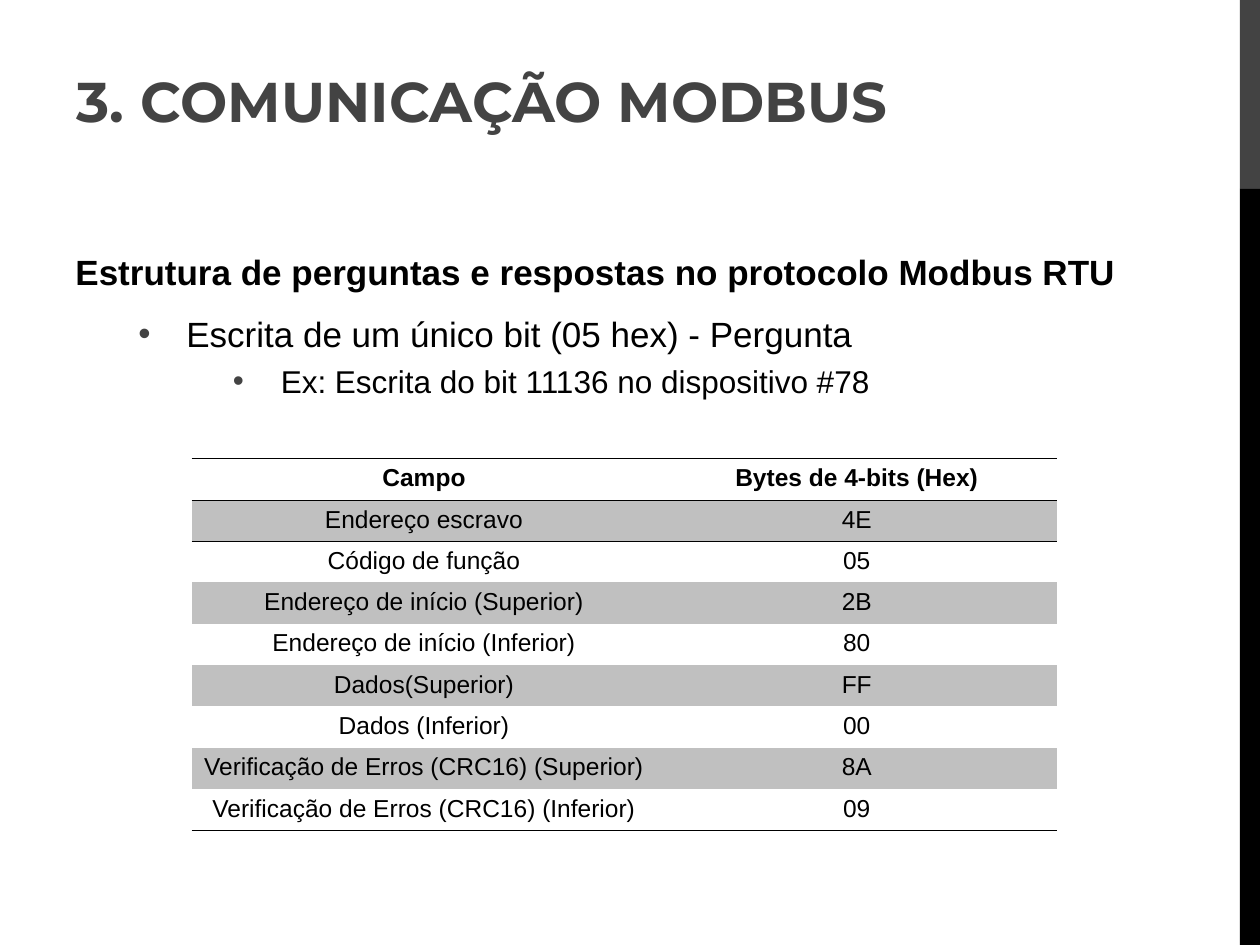
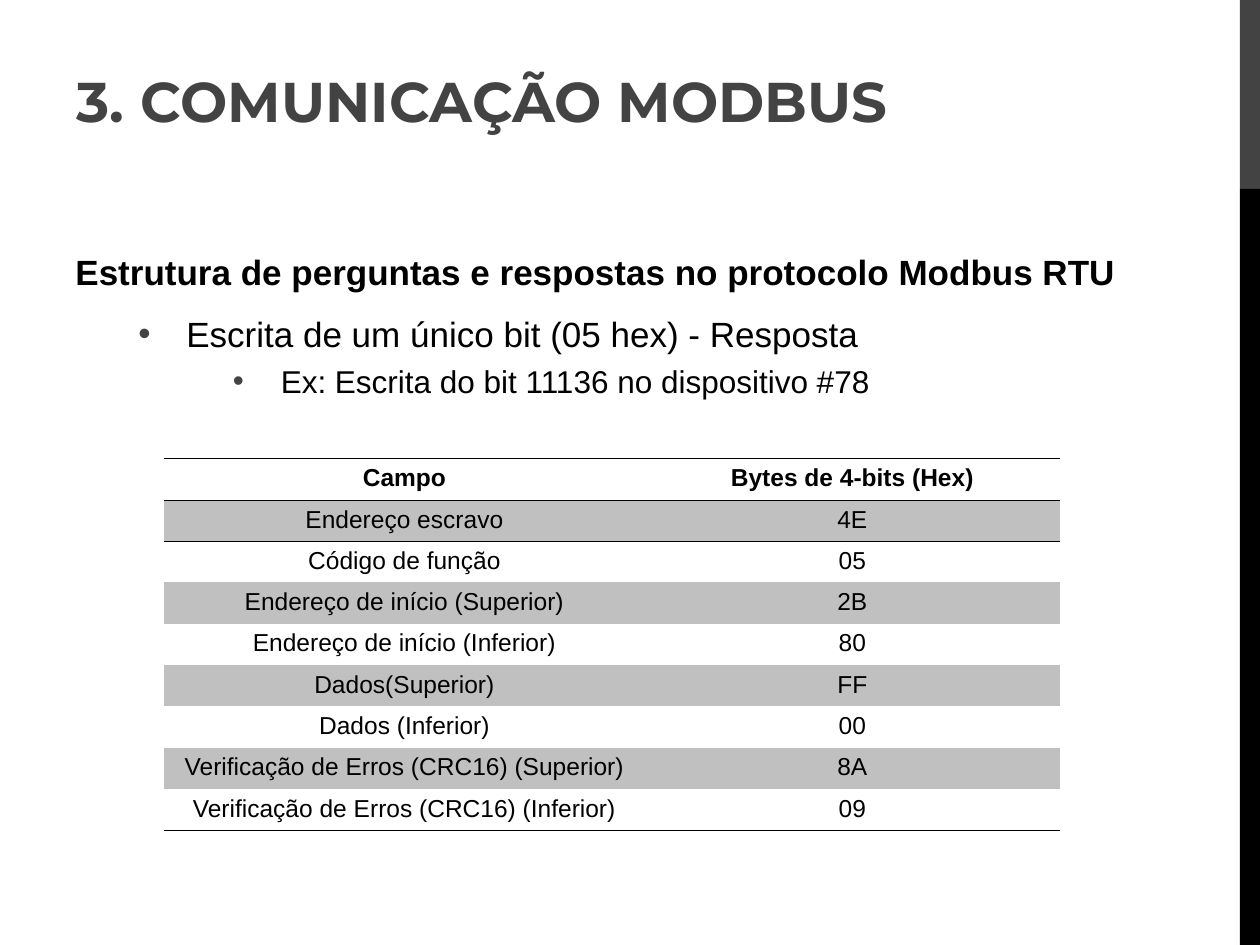
from pptx import Presentation, util as u
from pptx.dml.color import RGBColor
from pptx.enum import shapes, text
from pptx.oxml import parse_xml
from pptx.oxml.ns import nsdecls

DARK = RGBColor(0x43, 0x43, 0x43)
BLACK = RGBColor(0, 0, 0)
GREY = RGBColor(0xC0, 0xC0, 0xC0)
PLAIN = "{2D5ABB26-0587-4C30-8999-92F81FD0307C}"  # no style, no grid

TITLE = "3. COMUNICAÇÃO MODBUS"
HEAD = "Estrutura de perguntas e respostas no protocolo Modbus RTU"
TASK = "Escrita de um único bit (05 hex) - "
CASE = "Ex: Escrita do bit 11136 no dispositivo #78"
ROWS = [
    ("Campo", "Bytes de 4-bits (Hex)"),
    ("Endereço escravo", "4E"),
    ("Código de função", "05"),
    ("Endereço de início (Superior)", "2B"),
    ("Endereço de início (Inferior)", "80"),
    ("Dados(Superior)", "FF"),
    ("Dados (Inferior)", "00"),
    ("Verificação de Erros (CRC16) (Superior)", "8A"),
    ("Verificação de Erros (CRC16) (Inferior)", "09"),
]
# kind of message, table left, column widths, row height, side margin
PAGES = [
    ("Pergunta", 1.52, (3.69, 3.18), 0.31, 0.07),
    ("Resposta", 1.30, (3.82, 3.29), 0.29, 0.08),
]
# level, indent, space before, space after, size
LEVELS = [(0, 0.38, 0, 6, 20), (1, 0.88, 5, 0, 20), (2, 1.63, 4.5, 0, 18)]
HANG = 0.38


def style(para, size, color=BLACK, name="Arial", bold=False):
    look = {"size": u.Pt(size), "name": name, "bold": bold}
    for run in para.runs:
        for key, val in look.items():
            setattr(run.font, key, val)
        run.font.color.rgb = color


def rule(cell, side):
    """Draw a thin black line on the cell's T(op) or B(ottom) side."""
    cell._tc.get_or_add_tcPr().append(parse_xml(
        f'<a:ln{side} {nsdecls("a")} w="{u.Pt(0.45)}"><a:solidFill>'
        f'<a:srgbClr val="{BLACK}"/></a:solidFill></a:ln{side}>'))


prs = Presentation()
prs.slide_width, prs.slide_height = u.Inches(10), u.Inches(7.5)
wide, high = prs.slide_width, prs.slide_height

for kind, left, cols, step, side in PAGES:
    slide = prs.slides.add_slide(prs.slide_layouts[5])

    # Title
    title = slide.shapes.title
    place = {"left": 0.51, "top": 0.28, "width": 9.13, "height": 0.83}
    for key, val in place.items():
        setattr(title, key, u.Inches(val))
    frame = title.text_frame
    frame.text = TITLE
    frame.auto_size = text.MSO_AUTO_SIZE.NONE
    frame.vertical_anchor = text.MSO_ANCHOR.BOTTOM
    frame.paragraphs[0].alignment = text.PP_ALIGN.LEFT
    style(frame.paragraphs[0], 32, DARK, "Montserrat", True)

    # Outline
    body = slide.shapes.add_textbox(
        *map(u.Inches, (0.5, 1.92, 8.52, 4.78))).text_frame
    body.word_wrap = True
    body.margin_top = u.Inches(0.07)
    body.text = "\n".join((HEAD, TASK + kind, CASE))
    for para, (level, indent, before, after, size) in zip(body.paragraphs, LEVELS):
        para.level = level
        para.space_before, para.space_after = u.Pt(before), u.Pt(after)
        props = para._p.get_or_add_pPr()
        props.set("marL", str(u.Inches(indent)))
        props.set("indent", str(-u.Inches(HANG)))
        if level:
            for mark in (f'<a:buClr {nsdecls("a")}><a:srgbClr val="{DARK}"/></a:buClr>',
                         f'<a:buFont {nsdecls("a")} typeface="Arial"/>',
                         f'<a:buChar {nsdecls("a")} char="•"/>'):
                props.append(parse_xml(mark))
        style(para, size, bold=not level)

    # Message table
    table = slide.shapes.add_table(
        len(ROWS), len(cols),
        *map(u.Inches, (left, 3.64, sum(cols), step * len(ROWS)))).table
    table.first_row = table.horz_banding = False
    table._tbl.tblPr[0].text = PLAIN
    for col, width in zip(table.columns, cols):
        col.width = u.Inches(width)
    for r, row in enumerate(ROWS):
        table.rows[r].height = u.Inches(step)
        for c, word in enumerate(row):
            cell = table.cell(r, c)
            cell.text = word
            cell.margin_left = cell.margin_right = u.Inches(side)
            cell.margin_top = cell.margin_bottom = u.Pt(3.4)
            if r < 2:
                rule(cell, "T")
            if r in (0, len(ROWS) - 1):
                rule(cell, "B")
            if r % 2:
                cell.fill.solid()
                cell.fill.fore_color.rgb = GREY
            else:
                cell.fill.background()
            para = cell.text_frame.paragraphs[0]
            para.alignment = text.PP_ALIGN.CENTER
            style(para, 14, bold=r == 0)

# Side band: made on a slide, then moved to the master that all slides share
edge = u.Inches(9.84)
for n, (top, tall, color) in enumerate([(0, 0.2, DARK), (0.2, 0.8, BLACK)]):
    band = prs.slides[0].shapes.add_shape(
        shapes.MSO_SHAPE.RECTANGLE, edge, int(top * high), wide - edge, int(tall * high))
    band.shadow.inherit = False
    band.fill.solid()
    band.fill.fore_color.rgb = color
    band.line.fill.background()
    band.element.nvSpPr.cNvPr.set("id", str(50 + n))
    prs.slide_master.shapes.element.append(band.element)

prs.save("out.pptx")
